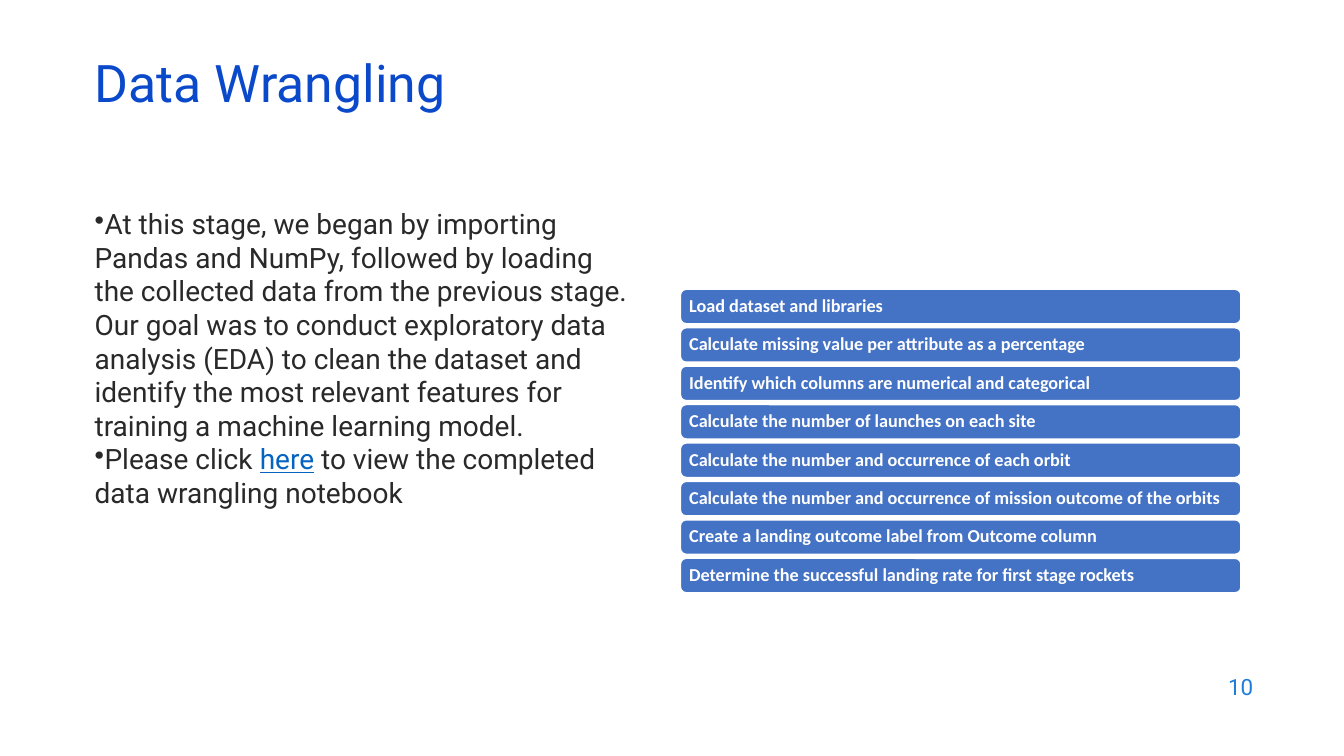
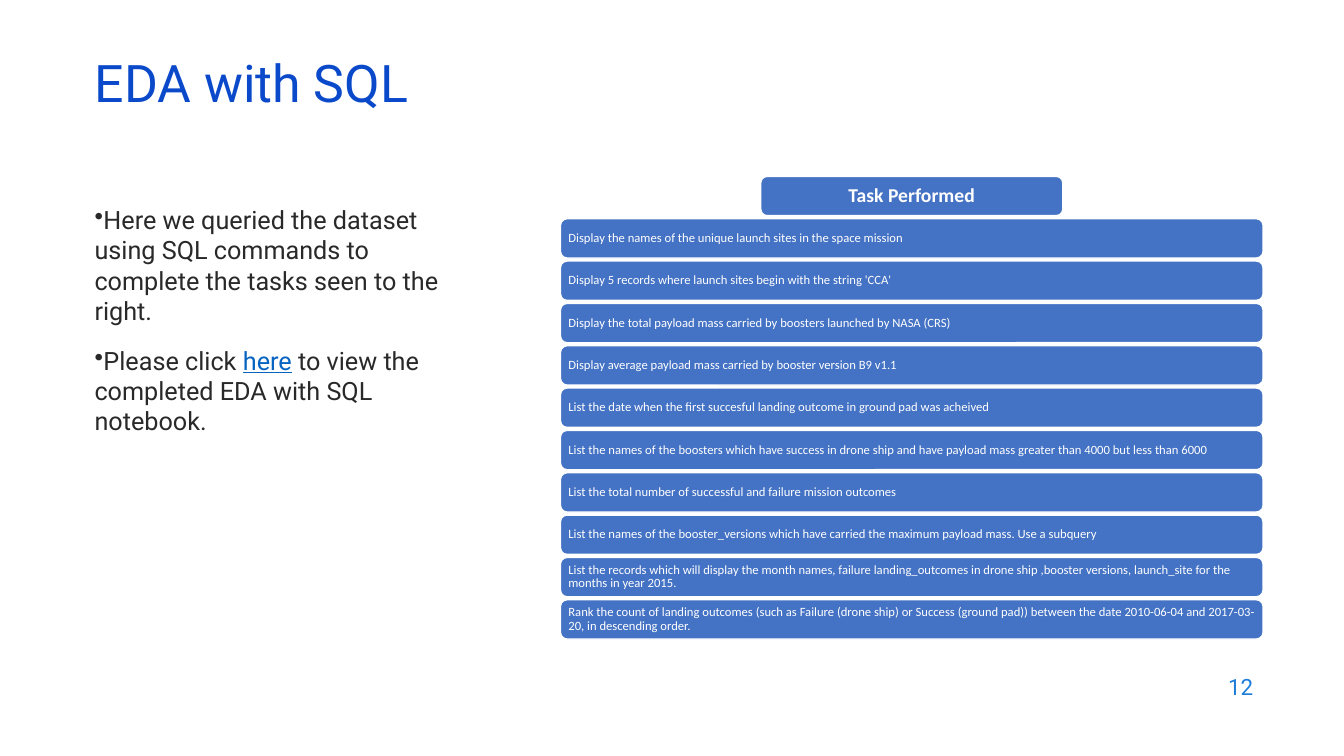
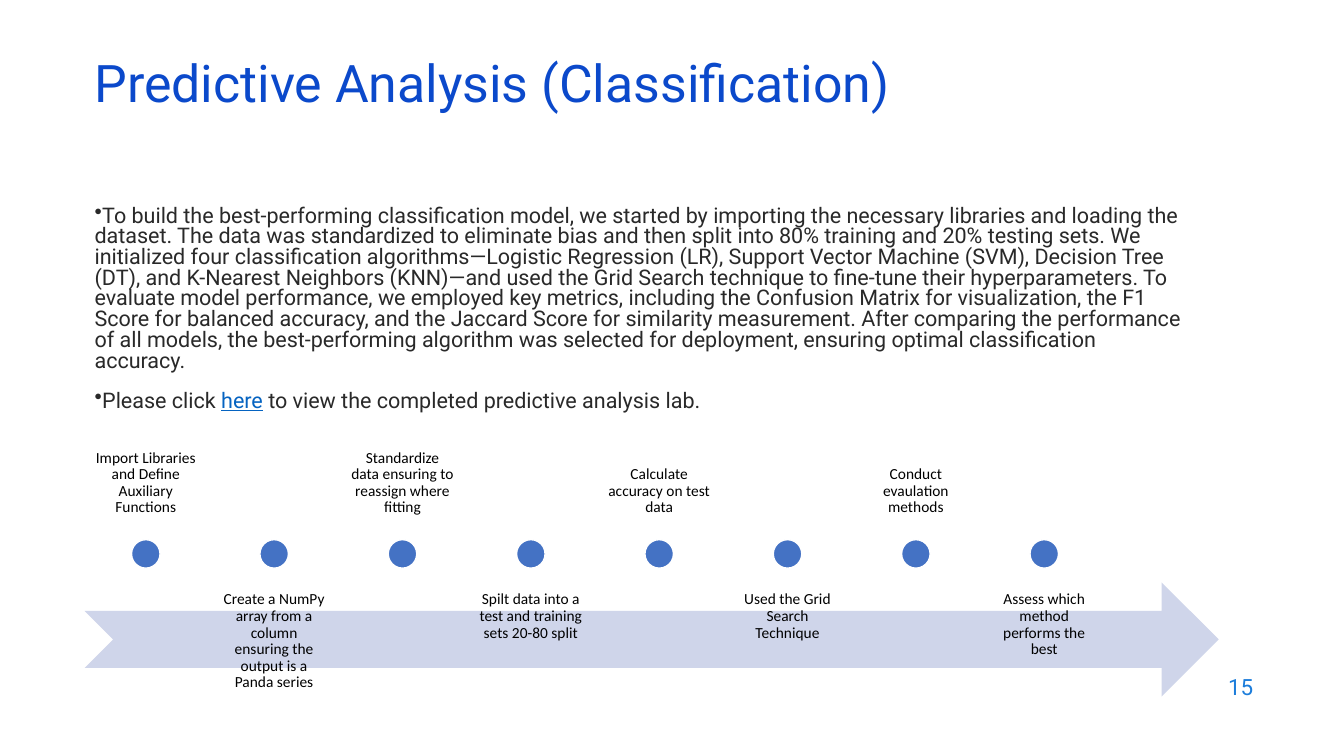
from dataclasses import dataclass

from lxml import etree
from pptx import Presentation
from pptx.dml.color import RGBColor
from pptx.enum import shapes, text
from pptx.oxml import ns
from pptx.util import Inches, Pt

# Shared look
SLIDE_WIDTH, SLIDE_HEIGHT = 13.33, 7.5
HEADING_FONT, DIAGRAM_FONT = "Roboto", "Calibri"
TITLE_BLUE, NUMBER_BLUE, LINK_BLUE = "0B49CB", "1C7DDB", "0563C1"
BAR_BLUE, ARROW_BLUE = "4472C4", "CFD5EA"
BODY_GREY, WHITE, BLACK = "292929", "FFFFFF", "000000"
LEFT, CENTER, RIGHT = text.PP_ALIGN.LEFT, text.PP_ALIGN.CENTER, text.PP_ALIGN.RIGHT
TOP, MIDDLE, BOTTOM = text.MSO_ANCHOR.TOP, text.MSO_ANCHOR.MIDDLE, text.MSO_ANCHOR.BOTTOM


@dataclass
class Box:
    """A rectangle in inches."""
    left: float
    top: float
    width: float
    height: float

    def emu(self):
        return [Inches(v) for v in (self.left, self.top, self.width, self.height)]


def area(left, top, width, height):
    """A box given in percent of the slide's size."""
    across, down = SLIDE_WIDTH / 100, SLIDE_HEIGHT / 100
    return Box(left * across, top * down, width * across, height * down)


TITLE_AREA = area(6.3, 7.87, 86.25, 8)
NUMBER_AREA = area(71.48, 87.87, 22.5, 5.87)


def color(hex_string):
    return RGBColor.from_string(hex_string)


def style(para, font, size, hue, bold=False, align=LEFT, spacing=1.0):
    para.alignment = align
    para.line_spacing = spacing
    para.font.name = font
    para.font.size = Pt(size)
    para.font.bold = bold
    para.font.color.rgb = color(hue)


def set_frame(frame, anchor, inset=None):
    frame.word_wrap = True
    frame.auto_size = text.MSO_AUTO_SIZE.NONE
    frame.vertical_anchor = anchor
    if inset is not None:
        frame.margin_left = frame.margin_right = Inches(inset)
        frame.margin_top = frame.margin_bottom = Inches(inset)


def add_label(page, box, words, anchor, inset=None, **look):
    frame = page.shapes.add_textbox(*box.emu()).text_frame
    set_frame(frame, anchor, inset)
    frame.text = words
    style(frame.paragraphs[0], **look)


def add_figure(page, kind, box, fill, outline=None):
    figure = page.shapes.add_shape(kind, *box.emu())
    figure.shadow.inherit = False
    figure.fill.solid()
    figure.fill.fore_color.rgb = color(fill)
    if outline:
        figure.line.color.rgb = color(outline)
        figure.line.width = Pt(1)
    else:
        figure.line.fill.background()
    return figure


def add_page(deck, title, number):
    """Slide with its title and page number."""
    page = deck.slides.add_slide(deck.slide_layouts[5])
    heading = page.shapes.title
    heading.left, heading.top, heading.width, heading.height = TITLE_AREA.emu()
    set_frame(heading.text_frame, MIDDLE)
    heading.text_frame.text = title
    style(heading.text_frame.paragraphs[0], HEADING_FONT, 37, TITLE_BLUE, spacing=0.7)
    add_label(page, NUMBER_AREA, str(number), MIDDLE,
              font=HEADING_FONT, size=16, hue=NUMBER_BLUE, align=RIGHT)
    return page


def add_body(page, box, summary, closing, size, spacing=1.0, gap=14):
    """Two bullets; the second holds the word styled as a link."""
    frame = page.shapes.add_textbox(*box.emu()).text_frame
    set_frame(frame, TOP)
    bullets = [[summary], ["Please click ", "here", closing]]
    for index, pieces in enumerate(bullets):
        para = frame.add_paragraph() if index else frame.paragraphs[0]
        props = para._p.get_or_add_pPr()
        props.set("marL", "0")
        props.set("indent", "0")
        etree.SubElement(props, ns.qn("a:buChar")).set("char", "•")
        style(para, HEADING_FONT, size, BODY_GREY, spacing=spacing)
        para.space_before = Pt(gap if index else 0)
        for piece in pieces:
            span = para.add_run()
            span.text = piece
            if piece == "here":
                span.font.underline = True
                span.font.color.rgb = color(LINK_BLUE)


def add_bars(page, box, tasks, gap, inset, size, bold=False, header=None):
    """Equal bars stacked in the box, under a narrower header bar if given."""
    rows = ([header] if header else []) + tasks
    height = (box.height - gap * (len(rows) - 1)) / len(rows)
    for index, words in enumerate(rows):
        is_header = words == header
        width = box.width * (0.43 if is_header else 1)
        place = Box(box.left + (box.width - width) / 2,
                    box.top + index * (height + gap), width, height)
        bar = add_figure(page, shapes.MSO_SHAPE.ROUNDED_RECTANGLE, place, BAR_BLUE, WHITE)
        set_frame(bar.text_frame, MIDDLE, inset)
        bar.text_frame.text = words
        style(bar.text_frame.paragraphs[0], DIAGRAM_FONT, 14 if is_header else size, WHITE,
              bold=bold or is_header, align=CENTER if is_header else LEFT, spacing=0.9)


def add_timeline(page, box, steps):
    """Dots on the middle line, labels above and below in turn, arrow at the foot."""
    row = box.height * 0.4
    foot = box.top + box.height - row
    add_figure(page, shapes.MSO_SHAPE.NOTCHED_RIGHT_ARROW,
               Box(box.left, foot, box.width, row), ARROW_BLUE)
    # The steps fill 90% of the width, with gaps of 5% of a step
    width = box.width * 0.9 / (len(steps) + 0.05 * (len(steps) - 1))
    dot = row / 4
    for index, words in enumerate(steps):
        left = box.left + index * width * 1.05
        below = index % 2 == 1
        add_label(page, Box(left, foot if below else box.top, width, row), words,
                  TOP if below else BOTTOM, inset=0.09,
                  font=DIAGRAM_FONT, size=11, hue=BLACK, align=CENTER, spacing=0.9)
        add_figure(page, shapes.MSO_SHAPE.OVAL,
                   Box(left + (width - dot) / 2, box.top + (box.height - dot) / 2, dot, dot),
                   BAR_BLUE, WHITE)


def add_wrangling(deck):
    page = add_page(deck, "Data Wrangling", 10)
    add_body(
        page, area(6.3, 26.67, 41.7, 50.27),
        "At this stage, we began by importing Pandas and NumPy, followed by loading the "
        "collected data from the previous stage. Our goal was to conduct exploratory data "
        "analysis (EDA) to clean the dataset and identify the most relevant features for "
        "training a machine learning model.",
        " to view the completed data wrangling notebook", size=20, gap=0)
    add_bars(page, area(50.63, 38.27, 41.7, 40.13), [
        "Load dataset and libraries",
        "Calculate missing value per attribute as a percentage",
        "Identify which columns are numerical and categorical",
        "Calculate the number of launches on each site",
        "Calculate the number and occurrence of each orbit",
        "Calculate the number and occurrence of mission outcome of the orbits",
        "Create a landing outcome label from Outcome column",
        "Determine the successful landing rate for first stage rockets",
    ], gap=0.04, inset=0.07, size=13, bold=True)


def add_sql(deck):
    page = add_page(deck, "EDA with SQL", 12)
    add_body(
        page, area(6.3, 26.4, 27.38, 40.4),
        "Here we queried the dataset using SQL commands to complete the tasks seen to the right.",
        " to view the completed EDA with SQL notebook.", size=18)
    add_bars(page, area(41.7, 23.33, 52.28, 61.2), [
        "Display the names of the unique launch sites in the space mission",
        "Display 5 records where launch sites begin with the string 'CCA'",
        "Display the total payload mass carried by boosters launched by NASA (CRS)",
        "Display average payload mass carried by booster version B9 v1.1",
        "List the date when the first succesful landing outcome in ground pad was acheived",
        "List the names of the boosters which have success in drone ship and have payload "
        "mass greater than 4000 but less than 6000",
        "List the total number of successful and failure mission outcomes",
        "List the names of the booster_versions which have carried the maximum payload mass. "
        "Use a subquery",
        "List the records which will display the month names, failure landing_outcomes in "
        "drone ship ,booster versions, launch_site for the months in year 2015.",
        "Rank the count of landing outcomes (such as Failure (drone ship) or Success "
        "(ground pad)) between the date 2010-06-04 and 2017-03-20, in descending order.",
    ], gap=0.03, inset=0.06, size=9, header="Task Performed")


def add_prediction(deck):
    page = add_page(deck, "Predictive Analysis (Classification)", 15)
    add_body(
        page, area(6.3, 26.67, 82.73, 25.73),
        "To build the best-performing classification model, we started by importing the "
        "necessary libraries and loading the dataset. The data was standardized to eliminate "
        "bias and then split into 80% training and 20% testing sets. We initialized four "
        "classification algorithms—Logistic Regression (LR), Support Vector Machine (SVM), "
        "Decision Tree (DT), and K-Nearest Neighbors (KNN)—and used the Grid Search technique "
        "to fine-tune their hyperparameters. To evaluate model performance, we employed key "
        "metrics, including the Confusion Matrix for visualization, the F1 Score for balanced "
        "accuracy, and the Jaccard Score for similarity measurement. After comparing the "
        "performance of all models, the best-performing algorithm was selected for "
        "deployment, ensuring optimal classification accuracy.",
        " to view the completed predictive analysis lab.", size=15.4, spacing=0.8)
    add_timeline(page, area(6.3, 54.4, 84.38, 37.73), [
        "Import Libraries and Define Auxiliary Functions",
        "Create a NumPy array from a column ensuring the output is a Panda series",
        "Standardize data ensuring to reassign where fitting",
        "Spilt data into a test and training sets 20-80 split",
        "Calculate accuracy on test data",
        "Used the Grid Search Technique",
        "Conduct evaulation methods",
        "Assess which method performs the best",
    ])


def main():
    deck = Presentation()
    deck.slide_width, deck.slide_height = Inches(SLIDE_WIDTH), Inches(SLIDE_HEIGHT)
    add_wrangling(deck)
    add_sql(deck)
    add_prediction(deck)
    deck.save("out.pptx")


if __name__ == "__main__":
    main()
